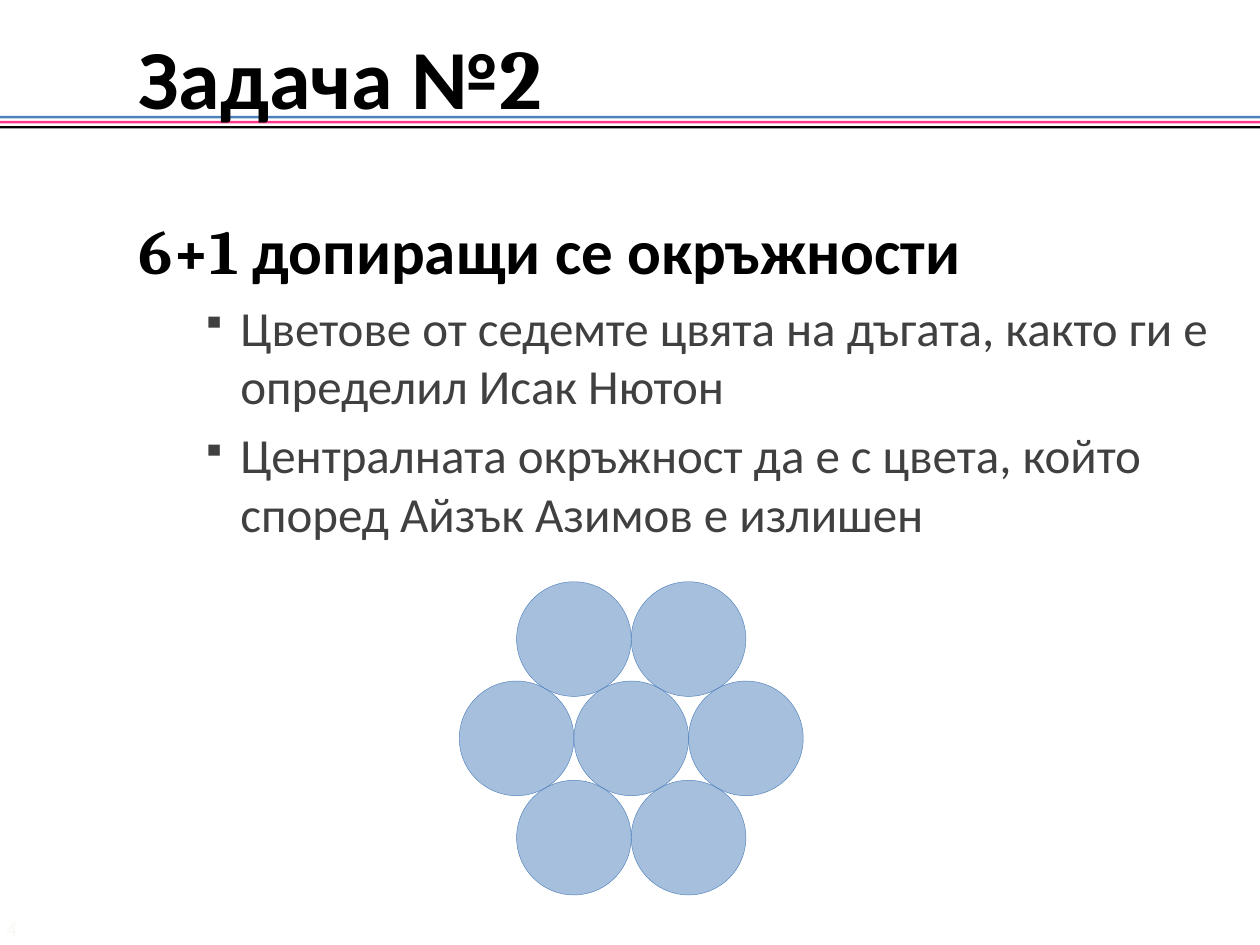
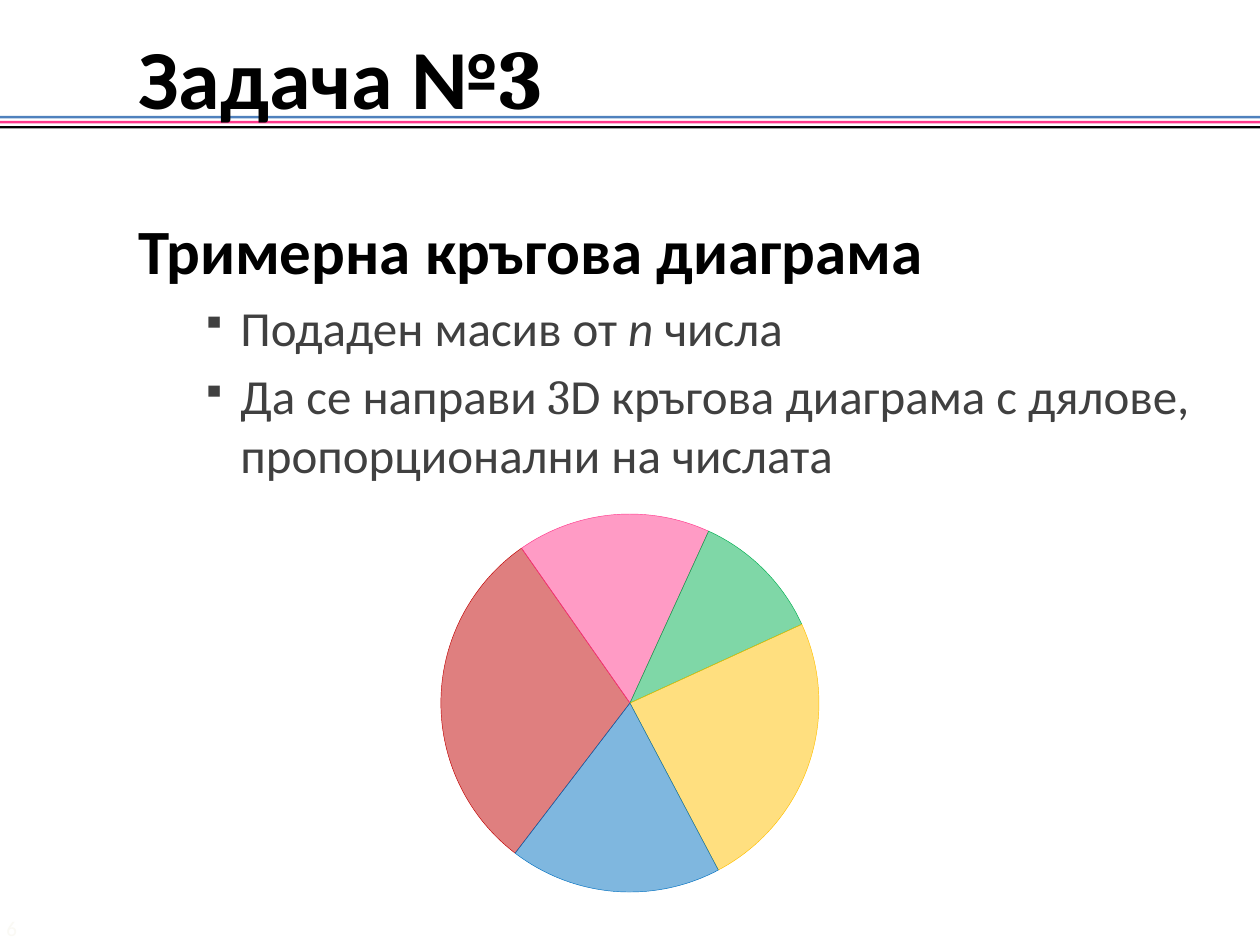
from dataclasses import dataclass
from math import radians, sin

from lxml.etree import SubElement
from pptx import Presentation
from pptx.dml.color import RGBColor
from pptx.enum.shapes import MSO_SHAPE
from pptx.enum.text import MSO_ANCHOR
from pptx.oxml.ns import qn
from pptx.util import Inches, Pt


@dataclass(frozen=True)
class Theme:
    blue: str = "4F81BD"
    pink: str = "FF388C"
    black: str = "000000"
    gray: str = "404040"
    pale: str = "FAF9F4"
    red: str = "C00000"
    green: str = "00B050"
    amber: str = "FFC000"
    azure: str = "0070C0"
    title: int = 48
    heading: int = 36
    bullet: int = 28
    number: int = 12
    sans: str = "Calibri"
    serif: str = "Cambria"


theme = Theme()
COLUMNS, ROWS = 10, 7.5
CELL = Inches(1)


def add_figure(page, kind, left, top, width, height, color, opacity=100):
    """Add a filled shape, in grid cells; a see-through one gets a hairline."""
    shape = page.shapes.add_shape(
        kind, *(round(CELL * length) for length in (left, top, width, height)))
    shape.shadow.inherit = False
    shape.fill.solid()
    shape.fill.fore_color.rgb = RGBColor.from_string(color)
    if opacity == 100:
        shape.line.fill.background()
    else:
        shape.line.color.rgb = RGBColor.from_string(color)
        shape.line.width = Pt(0.25)
        tint = shape.fill._xPr.find(".//" + qn("a:srgbClr"))
        SubElement(tint, qn("a:alpha"), val=str(opacity * 1000))
    return shape


def add_text(page, left, top, width, height, lines, size, color, bold=False):
    """Add a text box; a line is a list of (text, font[, italic]) spans."""
    box = page.shapes.add_textbox(
        *(round(CELL * length) for length in (left, top, width, height)))
    frame = box.text_frame
    frame.word_wrap = True
    for index, line in enumerate(lines):
        para = frame.add_paragraph() if index else frame.paragraphs[0]
        for text, font, *italic in line:
            span = para.add_run()
            span.text = text
            span.font.name = font
            span.font.size = Pt(size)
            span.font.bold = bold
            span.font.italic = bool(italic)
            span.font.color.rgb = RGBColor.from_string(color)
    return frame


deck = Presentation()
deck.slide_width = COLUMNS * CELL
deck.slide_height = round(ROWS * CELL)

tasks = [
    ("2", "4",
     [("6+1", theme.serif), (" допиращи се окръжности", theme.sans)],
     [[("Цветове от седемте цвята на дъгата, както ги е определил Исак Нютон",
        theme.sans)],
      [("Централната окръжност да е с цвета, който според Айзък Азимов е излишен",
        theme.sans)]]),
    ("3", "6",
     [("Тримерна кръгова диаграма", theme.sans)],
     [[("Подаден масив от ", theme.sans), ("n ", theme.sans, "italic"),
       ("числа", theme.sans)],
      [("Да се направи ", theme.sans), ("3", theme.serif),
       ("D кръгова диаграма с дялове, пропорционални на числата", theme.sans)]]),
]

pages = []
for task, number, heading, bullets in tasks:
    page = deck.slides.add_slide(deck.slide_layouts[6])
    pages.append(page)

    # Header: three stripes and the title
    for index, color in enumerate((theme.blue, theme.pink, theme.black)):
        add_figure(page, MSO_SHAPE.RECTANGLE, -0.08, 0.92 + 0.04 * index,
                   COLUMNS + 0.17, 0.02, color)
    title = add_text(page, 0, 0.25, COLUMNS, 0.71,
                     [[("Задача №", theme.sans), (task, theme.serif)]],
                     theme.title, theme.black, bold=True)
    title.vertical_anchor = MSO_ANCHOR.MIDDLE
    title.paragraphs[0]._p.get_or_add_pPr().set("marL", str(CELL))

    # Body: heading, then bullets
    body = add_text(page, 1, 1.33, 8.92, 6.08, [heading, *bullets],
                    theme.bullet, theme.gray)
    first, *rest = body.paragraphs
    first.line_spacing = 1.5
    first.space_before = Pt(0.25 * theme.heading)
    for span in first.runs:
        span.font.size = Pt(theme.heading)
        span.font.bold = True
        span.font.color.rgb = RGBColor.from_string(theme.black)
    for para in rest:
        para.level = 1
        para.space_before = Pt(0.2 * theme.bullet)
        settings = para._p.get_or_add_pPr()
        settings.set("marL", str(Inches(0.81)))
        settings.set("indent", str(Inches(-0.31)))
        SubElement(SubElement(settings, qn("a:buClr")), qn("a:srgbClr"), val=theme.gray)
        SubElement(settings, qn("a:buSzPct"), val="70000")
        SubElement(settings, qn("a:buChar"), char="▪")

    # Page number
    footer = add_text(page, 0, 7.22, 0.5, 0.28, [[(number, theme.sans)]],
                      theme.number, theme.pale)
    footer.margin_left = Inches(0.05)

circles_page, pie_page = pages

# Seven touching circles: rows of two, three and two
diameter = 0.91
center_x, center_y = 5.01, 5.86
for row, count in enumerate((2, 3, 2)):
    top = center_y - diameter / 2 + (row - 1) * diameter * sin(radians(60))
    for column in range(count):
        left = center_x + (column - count / 2) * diameter
        add_figure(circles_page, MSO_SHAPE.OVAL, left, top, diameter, diameter,
                   theme.blue, opacity=50)

# Pie sectors: each runs from its own angle to the next one, in degrees
sectors = [(127.4, theme.red), (235, theme.pink), (294.6, theme.green),
           (335.4, theme.amber), (62.1, theme.azure)]
ADJUSTMENT_PER_DEGREE = 0.6
for index, (start, color) in enumerate(sectors):
    end = sectors[(index + 1) % len(sectors)][0]
    sector = add_figure(pie_page, MSO_SHAPE.PIE, 3.5, 4.08, 3, 3, color, opacity=50)
    sector.adjustments[0] = start * ADJUSTMENT_PER_DEGREE
    sector.adjustments[1] = end * ADJUSTMENT_PER_DEGREE

deck.save("out.pptx")
